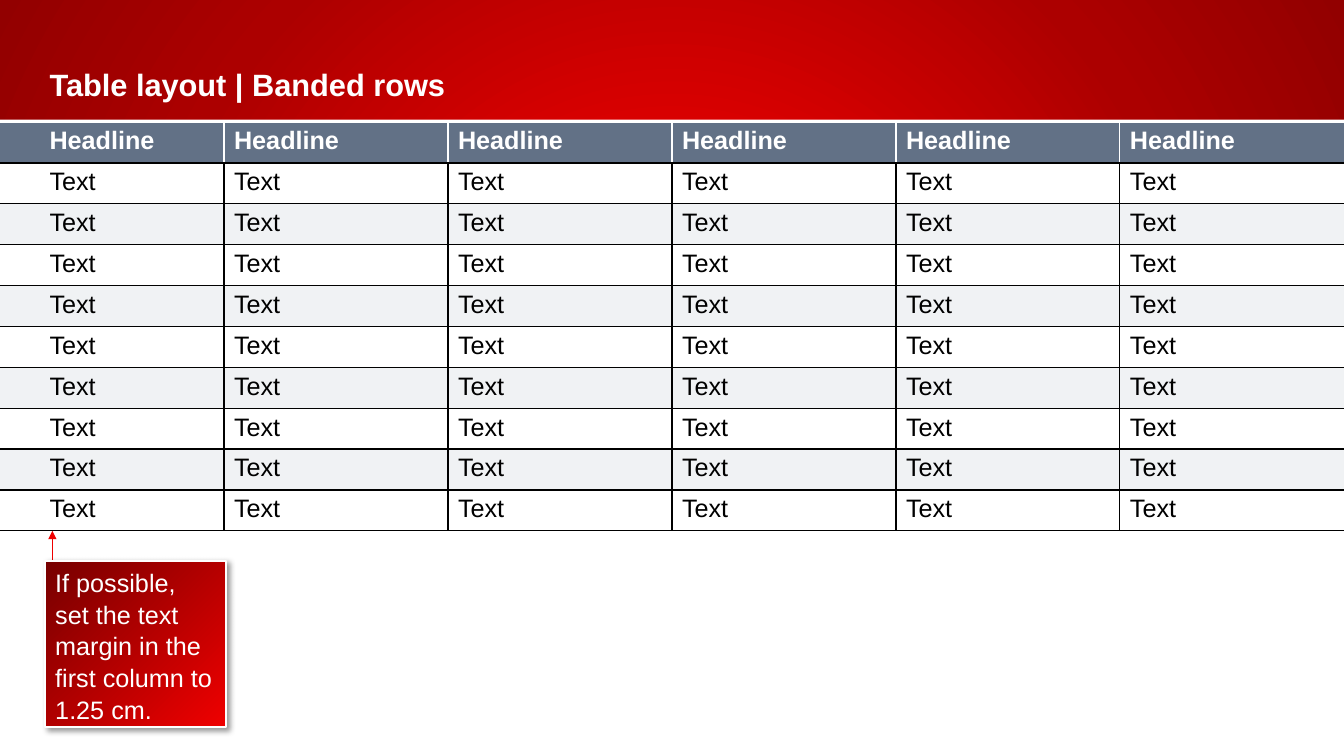
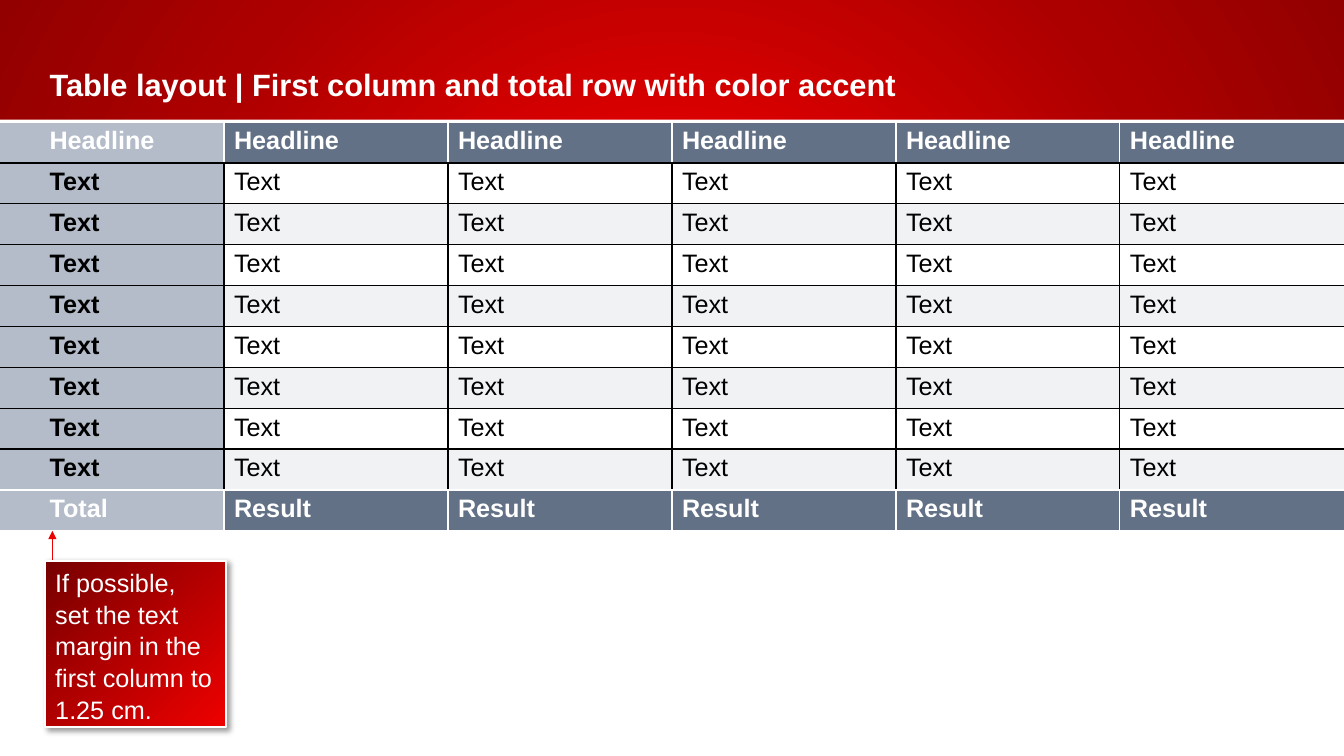
from lxml import etree
from pptx import Presentation
from pptx.dml.color import RGBColor
from pptx.enum.shapes import MSO_CONNECTOR, MSO_SHAPE
from pptx.enum.text import MSO_ANCHOR, PP_ALIGN
from pptx.oxml import parse_xml
from pptx.oxml.ns import qn
from pptx.util import Pt

RECTANGLE = MSO_SHAPE.RECTANGLE
STRAIGHT = MSO_CONNECTOR.STRAIGHT
TOP, BOTTOM = MSO_ANCHOR.TOP, MSO_ANCHOR.BOTTOM
LEFT = PP_ALIGN.LEFT

# Content
COLUMNS = 6
HEADER = ["Headline"] * COLUMNS
BODY = ["Text"] * COLUMNS
TOTAL = ["Total"] + ["Result"] * (COLUMNS - 1)
HINT = "If possible, set the text margin in the first column to 1.25 cm."
SLIDES = [
    {"title": "Table layout | Banded rows",
     "rows": [HEADER] + [BODY] * 9,
     "accent_rows": {0}, "accent_column": False},
    {"title": "Table layout | First column and total row with color accent",
     "rows": [HEADER] + [BODY] * 8 + [TOTAL],
     "accent_rows": {0, 9}, "accent_column": True},
]

# Shared style
FONT = "Arial"
WHITE = RGBColor(0xFF, 0xFF, 0xFF)
BLACK = RGBColor(0x00, 0x00, 0x00)
RED = RGBColor(0xEF, 0x00, 0x00)
CRIMSON = RGBColor(0xAC, 0x00, 0x00)
DARK_RED = RGBColor(0x92, 0x00, 0x00)
DEEP_RED = RGBColor(0x77, 0x00, 0x00)
SLATE = RGBColor(0x62, 0x71, 0x86)
LIGHT_SLATE = RGBColor(0xB3, 0xBC, 0xC8)
BAND = RGBColor(0xF0, 0xF2, 0xF4)
BACKDROP_STOPS = [(0, RED), (16, RED), (69, CRIMSON), (100, DARK_RED)]
HINT_STOPS = [(0, RED), (100, DEEP_RED)]

# Layout in points
WIDTH, HEIGHT = 960, 540
PANEL_TOP = 85.5
TABLE_TOP, ROW_HEIGHT = 87.2, 29.2
COLUMN_WIDTH = WIDTH / COLUMNS
TEXT_MARGIN, CELL_MARGIN = 35.4, 7.2
HINT_LEFT, HINT_TOP, HINT_WIDTH, HINT_HEIGHT = 32.4, 400.5, 128.8, 119
ARROW_X = 37.4

A_NS = 'xmlns:a="http://schemas.openxmlformats.org/drawingml/2006/main"'


def radial_fill(fill, stops, center):
    """Fill with a circular gradient around center (left, top, right, bottom in %)."""
    fill.gradient()
    gradient = fill._xPr.find(qn("a:gradFill"))
    stop_xml = "".join(
        f'<a:gs pos="{position * 1000}"><a:srgbClr val="{color}"/></a:gs>'
        for position, color in stops)
    left, top, right, bottom = (side * 1000 for side in center)
    fill._xPr.replace(gradient, parse_xml(
        f'<a:gradFill {A_NS} rotWithShape="1"><a:gsLst>{stop_xml}</a:gsLst>'
        f'<a:path path="circle"><a:fillToRect l="{left}" t="{top}" '
        f'r="{right}" b="{bottom}"/></a:path></a:gradFill>'))


def set_font(paragraph, size, color, bold=False):
    paragraph.alignment = LEFT
    font = paragraph.font
    font.name, font.size, font.bold = FONT, Pt(size), bold
    font.color.rgb = color


def set_margins(frame, left, top, right, bottom):
    frame.margin_left, frame.margin_top = Pt(left), Pt(top)
    frame.margin_right, frame.margin_bottom = Pt(right), Pt(bottom)


def set_borders(cell, colors):
    """Colors go left, right, top, bottom; None leaves a side open."""
    properties = cell._tc.get_or_add_tcPr()
    for side, color in zip("LRTB", colors):
        paint = (f'<a:solidFill><a:srgbClr val="{color}"/></a:solidFill>'
                 if color is not None else "<a:noFill/>")
        properties.append(parse_xml(
            f'<a:ln{side} {A_NS} w="{Pt(1)}">{paint}</a:ln{side}>'))


def add_frame(slide, title):
    # Red backdrop, white panel and title
    radial_fill(slide.background.fill, BACKDROP_STOPS, (50, 50, 50, 50))
    panel = slide.shapes.add_shape(
        RECTANGLE, 0, Pt(PANEL_TOP), Pt(WIDTH), Pt(HEIGHT - PANEL_TOP))
    panel.shadow.inherit = False
    panel.fill.solid()
    panel.fill.fore_color.rgb = WHITE
    panel.line.fill.background()

    heading = slide.shapes.add_textbox(0, Pt(35.3), Pt(798.5), Pt(49.7)).text_frame
    heading.word_wrap = True
    heading.vertical_anchor = BOTTOM
    set_margins(heading, TEXT_MARGIN, 11.5, CELL_MARGIN, 11.5)
    heading.text = title
    set_font(heading.paragraphs[0], 22, WHITE, bold=True)


def add_grid(slide, rows, accent_rows, accent_column):
    table = slide.shapes.add_table(
        len(rows), COLUMNS, 0, Pt(TABLE_TOP), Pt(WIDTH),
        Pt(ROW_HEIGHT * len(rows))).table
    table.first_row = table.horz_banding = False
    for column in table.columns:
        column.width = Pt(COLUMN_WIDTH)
    last_row, last_column = len(rows) - 1, COLUMNS - 1

    for r, texts in enumerate(rows):
        table.rows[r].height = Pt(ROW_HEIGHT)
        accented = r in accent_rows
        rule = WHITE if accented else BLACK
        below = WHITE if min(r + 1, last_row) in accent_rows else BLACK
        for c, text in enumerate(texts):
            cell = table.cell(r, c)
            in_accent_column = accent_column and c == 0
            set_borders(cell, (rule if c > 0 else None,
                               rule if c < last_column else None, rule, below))
            cell.fill.solid()
            if in_accent_column:
                cell.fill.fore_color.rgb = LIGHT_SLATE
            elif accented:
                cell.fill.fore_color.rgb = SLATE
            else:
                cell.fill.fore_color.rgb = WHITE if r % 2 else BAND
            set_margins(cell, CELL_MARGIN if c else TEXT_MARGIN, 3.6, CELL_MARGIN, 3.6)
            cell.text = text
            set_font(cell.text_frame.paragraphs[0], 18,
                     WHITE if accented else BLACK, accented or in_accent_column)


def add_hint(slide, table_bottom):
    # Arrow up to the first column's text margin
    arrow = slide.shapes.add_connector(
        STRAIGHT, Pt(ARROW_X), Pt(HINT_TOP), Pt(ARROW_X), Pt(table_bottom))
    arrow.line.color.rgb = RED
    arrow.line.width = Pt(0.75)
    etree.SubElement(arrow.line._get_or_add_ln(), qn("a:tailEnd"), type="triangle")
    etree.SubElement(arrow._element.spPr, qn("a:effectLst"))

    # Red note with a soft shadow
    note = slide.shapes.add_shape(
        RECTANGLE, Pt(HINT_LEFT), Pt(HINT_TOP), Pt(HINT_WIDTH), Pt(HINT_HEIGHT))
    radial_fill(note.fill, HINT_STOPS, (100, 100, 0, 0))
    note.line.color.rgb = WHITE
    note.line.width = Pt(1.5)
    note.shadow.inherit = False
    note._element.spPr.find(qn("a:effectLst")).append(parse_xml(
        f'<a:outerShdw {A_NS} blurRad="{Pt(4)}" dist="{Pt(3)}" dir="2700000" '
        f'algn="tl" rotWithShape="0"><a:srgbClr val="{BLACK}">'
        '<a:alpha val="40000"/></a:srgbClr></a:outerShdw>'))
    frame = note.text_frame
    frame.word_wrap = True
    frame.vertical_anchor = TOP
    set_margins(frame, 7.2, 3.6, 7.2, 3.6)
    frame.text = HINT
    paragraph = frame.paragraphs[0]
    paragraph.space_before = Pt(6)
    paragraph.line_spacing = 1.05
    set_font(paragraph, 18, WHITE)


def main():
    deck = Presentation()
    deck.slide_width, deck.slide_height = Pt(WIDTH), Pt(HEIGHT)
    blank = deck.slide_layouts[6]
    for content in SLIDES:
        slide = deck.slides.add_slide(blank)
        add_frame(slide, content["title"])
        add_grid(slide, content["rows"], content["accent_rows"],
                 content["accent_column"])
        add_hint(slide, TABLE_TOP + ROW_HEIGHT * len(content["rows"]))
    deck.save("out.pptx")


if __name__ == "__main__":
    main()
